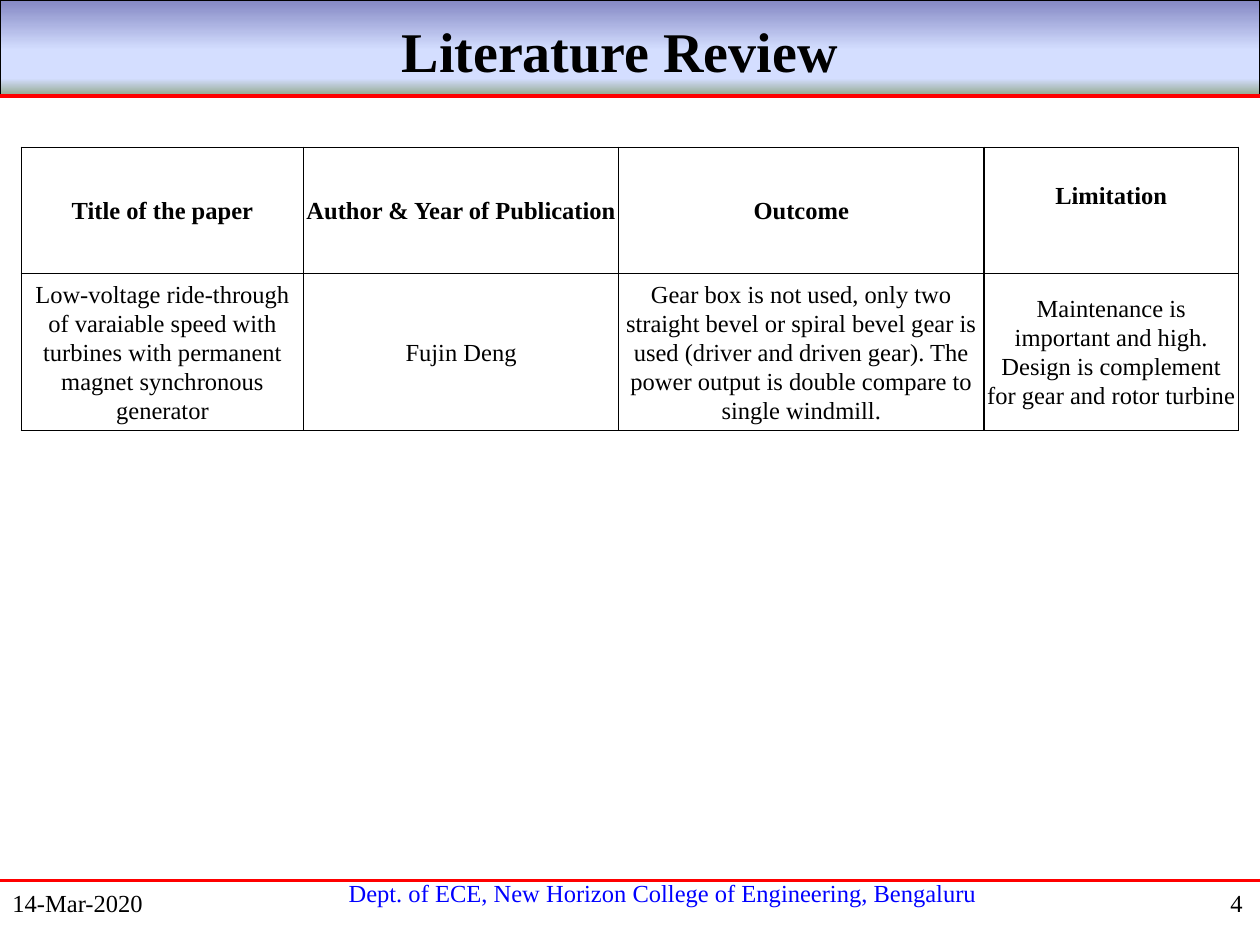
from lxml import etree
from pptx import Presentation
from pptx.dml.color import RGBColor
from pptx.enum.shapes import MSO_CONNECTOR, MSO_SHAPE
from pptx.enum.text import MSO_ANCHOR, PP_ALIGN as Align
from pptx.oxml import parse_xml
from pptx.oxml.ns import nsdecls, qn
from pptx.util import Inches, Pt

BLACK = RGBColor(0x00, 0x00, 0x00)
WHITE = RGBColor(0xFF, 0xFF, 0xFF)
RED = RGBColor(0xFF, 0x00, 0x00)
BLUE = RGBColor(0x00, 0x00, 0xFF)
BAND_STOPS = [(0, "8488C4"), (53, "D4DEFF"), (83, "D4DEFF"), (100, "96AB94")]
FONT = "Times New Roman"
COLUMN_WIDTHS = [2.24, 2.5, 2.9, 2.02]
ROW_HEIGHTS = [1, 1.23]
REVIEW = [
    ["Title of the paper", "Author & Year of Publication", "Outcome", "Limitation"],
    [
        "Low-voltage ride-through of varaiable speed with turbines with "
        "permanent magnet synchronous generator",
        "Fujin Deng",
        "Gear box is not used, only two straight bevel or spiral bevel gear is used "
        "(driver and driven gear). The power output is double compare to single windmill.",
        "Maintenance is important and high. Design is complement for gear and rotor turbine",
    ],
]


class ReviewPage:
    """Holds the text style and the current slide, and draws its elements."""

    def __init__(self, deck):
        self.page = deck.slides.add_slide(deck.slide_layouts[5])
        self.shapes = self.page.shapes

    def style_text(self, frame, text, size=14, color=BLACK, bold=False, align=Align.LEFT):
        frame.text = text
        frame.word_wrap = True
        para = frame.paragraphs[0]
        para.alignment = align
        font = para.runs[0].font
        font.name, font.size, font.bold = FONT, Pt(size), bold
        font.color.rgb = color
        return para

    def band(self, left, top, width, height):
        band = self.shapes.add_shape(
            MSO_SHAPE.RECTANGLE, Inches(left), Inches(top), Inches(width), Inches(height)
        )
        band.shadow.inherit = False
        band.line.color.rgb = BLACK
        band.line.width = Pt(0.75)
        stops = "".join(
            f'<a:gs pos="{place * 1000}"><a:srgbClr val="{color}"/></a:gs>'
            for place, color in BAND_STOPS
        )
        gradient = parse_xml(
            f'<a:gradFill {nsdecls("a")}><a:gsLst>{stops}</a:gsLst>'
            '<a:lin ang="5400000" scaled="1"/></a:gradFill>'
        )
        band.element.spPr.find(qn("a:prstGeom")).addnext(gradient)

    def rule(self, top, weight):
        rule = self.shapes.add_connector(
            MSO_CONNECTOR.STRAIGHT, 0, Inches(top), Inches(10), Inches(top)
        )
        rule.line.color.rgb = RED
        rule.line.width = Pt(weight)
        etree.SubElement(rule.element.spPr, qn("a:effectLst"))

    def title(self, text, left, top, width, height):
        title = self.shapes.title
        title.left, title.top = Inches(left), Inches(top)
        title.width, title.height = Inches(width), Inches(height)
        self.style_text(title.text_frame, text, size=32, bold=True, align=Align.CENTER)
        title.text_frame.vertical_anchor = MSO_ANCHOR.TOP
        self.shapes[-1].element.addnext(title.element)

    def label(self, text, left, top, width, height, **style):
        box = self.shapes.add_textbox(
            Inches(left), Inches(top), Inches(width), Inches(height)
        )
        self.style_text(box.text_frame, text, **style)

    def cell(self, cell, text, bold):
        cell.margin_left = cell.margin_right = Inches(0.02)
        cell.margin_top = cell.margin_bottom = 0
        cell.vertical_anchor = MSO_ANCHOR.MIDDLE
        para = self.style_text(cell.text_frame, text, bold=bold, align=Align.CENTER)
        para.line_spacing = 1.07
        properties = cell._tc.get_or_add_tcPr()
        for side in "LRTB":
            properties.append(parse_xml(
                f'<a:ln{side} {nsdecls("a")} w="{Pt(1)}"><a:solidFill>'
                f'<a:srgbClr val="{BLACK}"/></a:solidFill></a:ln{side}>'
            ))
        cell.fill.solid()
        cell.fill.fore_color.rgb = WHITE

    def table(self, rows, left, top):
        table = self.shapes.add_table(
            len(rows), len(COLUMN_WIDTHS), Inches(left), Inches(top),
            Inches(sum(COLUMN_WIDTHS)), Inches(sum(ROW_HEIGHTS)),
        ).table
        table.horz_banding = False
        for column, width in zip(table.columns, COLUMN_WIDTHS):
            column.width = Inches(width)
        for row, height in zip(table.rows, ROW_HEIGHTS):
            row.height = Inches(height)
        for row_index, row in enumerate(rows):
            for column_index, text in enumerate(row):
                self.cell(table.cell(row_index, column_index), text, row_index == 0)
        return table


def main():
    deck = Presentation()
    deck.slide_width, deck.slide_height = Inches(10), Inches(7.5)
    review = ReviewPage(deck)
    review.band(0, 0, 10, 0.75)
    review.rule(0.76, 2.25)
    review.label(
        "Dept. of ECE, New Horizon College of Engineering, Bengaluru",
        1.72, 6.92, 7.08, 0.33, color=BLUE, align=Align.CENTER,
    )
    review.rule(6.99, 1.5)
    review.title("Literature Review", 0, 0.08, 9.84, 0.64)
    review.label("14-Mar-2020", 0, 7, 2.08, 0.5)
    review.label("4", 7.88, 7, 2.08, 0.5, align=Align.RIGHT)
    table = review.table(REVIEW, 0.17, 1.17)
    table.cell(0, 3).margin_bottom = Inches(0.24)
    deck.save("out.pptx")


if __name__ == "__main__":
    main()
